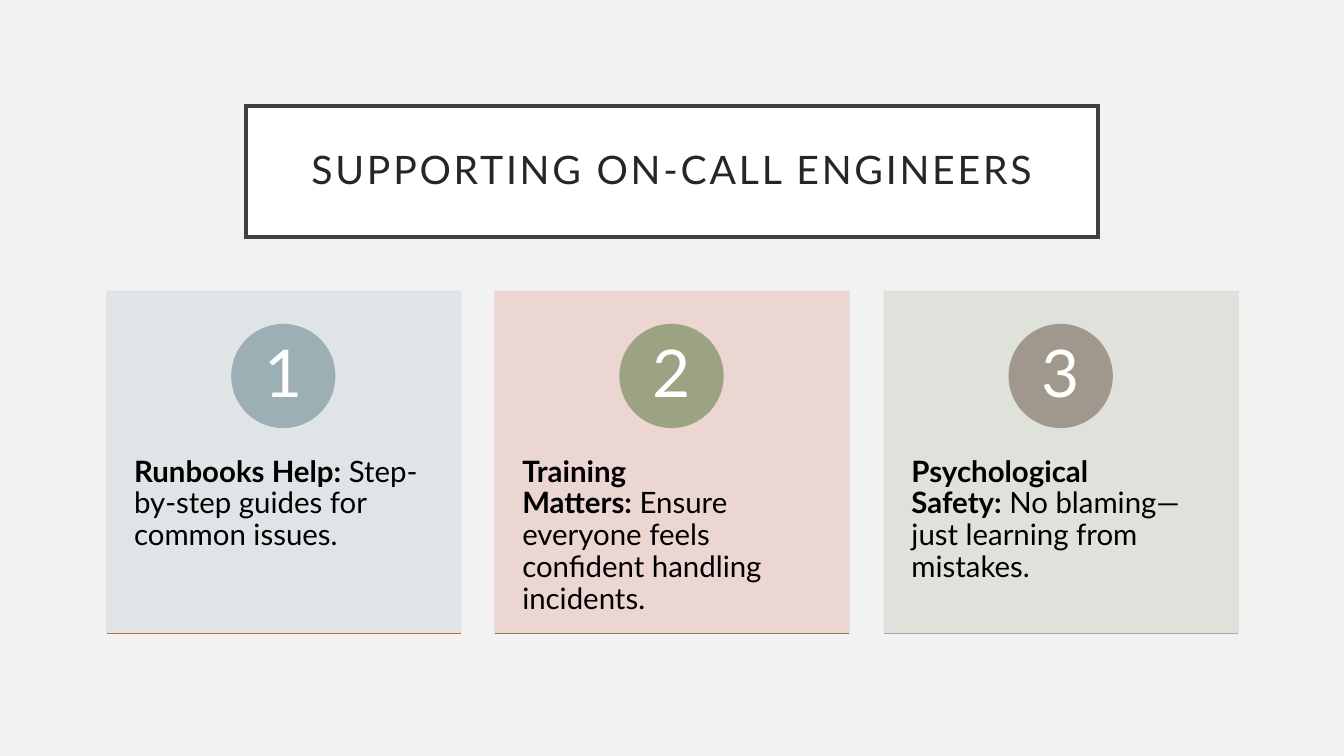
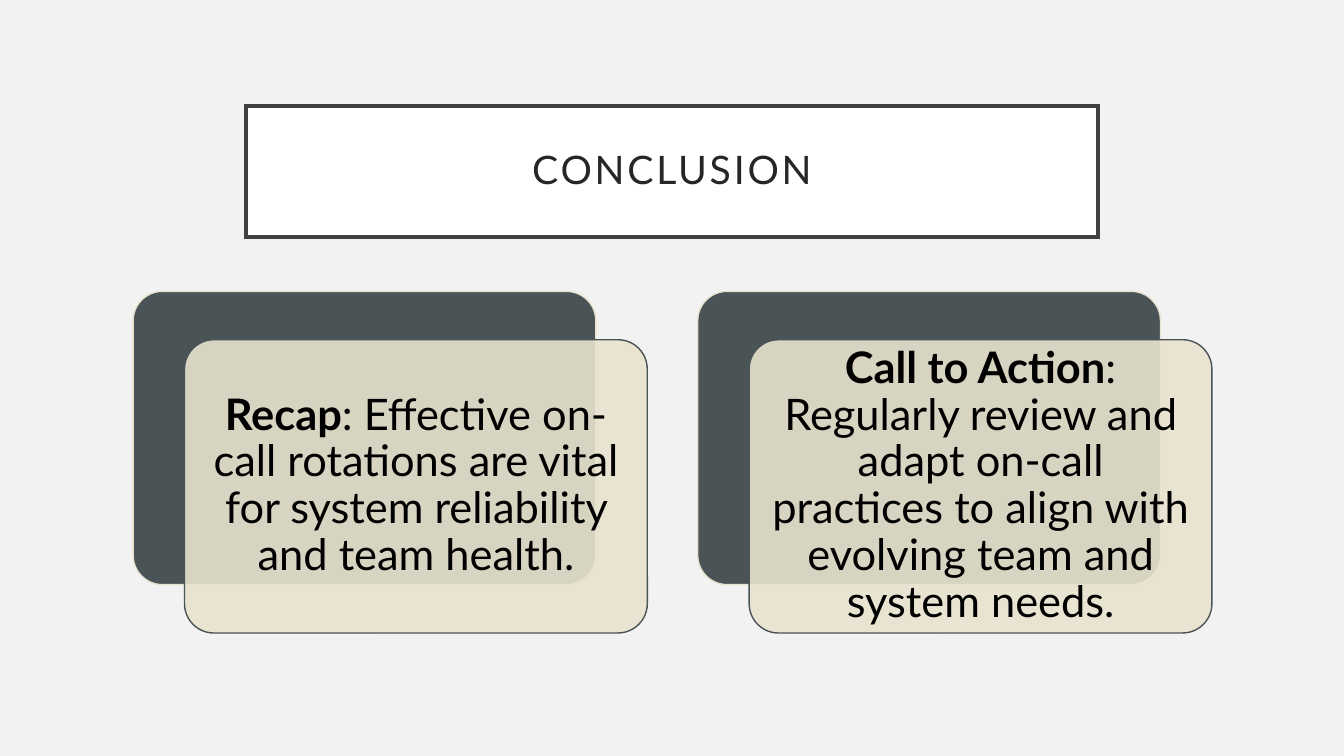
from dataclasses import dataclass

from lxml import etree
from pptx import Presentation
from pptx import util as u
from pptx.dml import color
from pptx.enum import shapes, text
from pptx.oxml import ns

EMU_PER_PX = 9144
NO_BREAK_SPACE = chr(160)


@dataclass(frozen=True)
class Theme:
    font: str = "Lato"
    background: str = "F2F2F2"
    title_fill: str = "FFFFFF"
    title_border: str = "404040"
    title_text: str = "262626"
    body_text: str = "000000"
    number_text: str = "FFFFFF"
    panel_dark: str = "4A5356"
    panel_light: str = "E8E3CE"
    title_size: int = 28
    card_size: int = 21
    number_size: int = 47
    panel_size: int = 31
    title_spacing: int = 2
    title_border_width: float = 2.5
    line_width: float = 1
    rule_width: float = 0.5
    line_spacing: float = 0.9
    opacity: int = 90


@dataclass(frozen=True)
class Box:
    left: int
    top: int
    width: int
    height: int


@dataclass(frozen=True)
class Phrase:
    wording: str
    bold: bool = False


@dataclass(frozen=True)
class Card:
    heading: str
    detail: str
    fill: str
    badge: str
    rule: str


@dataclass(frozen=True)
class Panel:
    heading: str
    detail: str


THEME = Theme()
TITLE = Box(244, 105, 845, 130)
FIRST_CARD = Box(106, 289, 351, 339)
LAST_CARD_LEFT = 877
BADGE_SIZE = 102
BADGE_DROP = 33
CARD_INSETS = (27, 164, 27, 36)
FIRST_PANEL = Box(132, 289, 459, 291)
PANEL_PITCH = 560
PANEL_SHIFT = (51, 48)

CARDS = (
    Card("Runbooks Help:", "Step-by-step guides for common issues.",
         "DEE3E5", "9BAFB5", "C96731"),
    Card("Training Matters:", "Ensure everyone feels confident handling incidents.",
         "EBD3CE", "9CA383", "87795D"),
    Card("Psychological Safety:", "No blaming—just learning from mistakes.",
         "DEE0D9", "A0988C", "9BAFB5"),
)
PANELS = (
    Panel("Recap",
          ": Effective on-call rotations are vital for system reliability and team health."),
    Panel("Call to Action",
          ": Regularly review and adapt on-call practices to align with evolving team and system needs."),
)


def px(length: int) -> u.Emu:
    return u.Emu(length * EMU_PER_PX)


def rgb(value: str) -> color.RGBColor:
    return color.RGBColor.from_string(value)


def paint(fill, value: str, opacity: int = 100) -> None:
    fill.solid()
    fill.fore_color.rgb = rgb(value)
    if opacity < 100:
        tint = fill._xPr.find(ns.qn("a:solidFill"))[0]
        etree.SubElement(tint, ns.qn("a:alpha")).set("val", str(opacity * 1000))


def style(shape, fill: str, line: str, width: float = THEME.line_width,
          fill_opacity: int = 100, line_opacity: int = 100) -> None:
    paint(shape.fill, fill, fill_opacity)
    paint(shape.line.fill, line, line_opacity)
    shape.line.width = u.Pt(width)
    outline = shape._element.spPr.find(ns.qn("a:ln"))
    etree.SubElement(outline, ns.qn("a:miter")).set("lim", "800000")
    shape.shadow.inherit = False


def write(shape, phrases: tuple[Phrase, ...], size: int, ink: str,
          insets: tuple[int, int, int, int], spacing: int = 0,
          align=text.PP_ALIGN.CENTER, anchor=text.MSO_ANCHOR.MIDDLE) -> None:
    frame = shape.text_frame
    frame.word_wrap = True
    frame.auto_size = text.MSO_AUTO_SIZE.NONE
    frame.vertical_anchor = anchor
    (frame.margin_left, frame.margin_top,
     frame.margin_right, frame.margin_bottom) = map(px, insets)
    paragraph = frame.paragraphs[0]
    paragraph.alignment = align
    paragraph.line_spacing = THEME.line_spacing
    for phrase in phrases:
        run = paragraph.add_run()
        run.text = phrase.wording
        run.font.name = THEME.font
        run.font.size = u.Pt(size)
        run.font.bold = phrase.bold
        run.font.color.rgb = rgb(ink)
        if spacing:
            run.font._element.set("spc", str(spacing * 100))


def add_block(slide, preset, box: Box):
    return slide.shapes.add_shape(
        preset, px(box.left), px(box.top), px(box.width), px(box.height))


def add_rule(slide, box: Box, ink: str) -> None:
    bottom = px(box.top + box.height)
    rule = slide.shapes.add_connector(
        shapes.MSO_CONNECTOR.STRAIGHT,
        px(box.left), bottom, px(box.left + box.width), bottom)
    rule.line.color.rgb = rgb(ink)
    rule.line.width = u.Pt(THEME.rule_width)
    etree.SubElement(rule._element.spPr, ns.qn("a:effectLst"))


def add_titled_slide(deck, heading: str):
    slide = deck.slides.add_slide(deck.slide_layouts.get_by_name("Title Only"))
    title = slide.shapes.title
    title.left, title.top = px(TITLE.left), px(TITLE.top)
    title.width, title.height = px(TITLE.width), px(TITLE.height)
    style(title, THEME.title_fill, THEME.title_border, THEME.title_border_width)
    write(title, (Phrase(heading),), THEME.title_size, THEME.title_text,
          (20, 20, 20, 20), THEME.title_spacing)
    return slide


def add_card(slide, number: int, card: Card, box: Box) -> None:
    body = add_block(slide, shapes.MSO_SHAPE.RECTANGLE, box)
    style(body, card.fill, card.fill,
          fill_opacity=THEME.opacity, line_opacity=THEME.opacity)
    write(body, (Phrase(card.heading, True), Phrase(NO_BREAK_SPACE + card.detail)),
          THEME.card_size, THEME.body_text, CARD_INSETS,
          align=text.PP_ALIGN.LEFT, anchor=text.MSO_ANCHOR.TOP)
    badge = add_block(slide, shapes.MSO_SHAPE.OVAL, Box(
        box.left + (box.width - BADGE_SIZE) // 2, box.top + BADGE_DROP,
        BADGE_SIZE, BADGE_SIZE))
    style(badge, card.badge, card.badge)
    write(badge, (Phrase(str(number)),), THEME.number_size, THEME.number_text,
          (8, 1, 8, 1))
    add_rule(slide, box, card.rule)


def add_panel(slide, panel: Panel, box: Box) -> None:
    right, down = PANEL_SHIFT
    back = add_block(slide, shapes.MSO_SHAPE.ROUNDED_RECTANGLE, box)
    style(back, THEME.panel_dark, THEME.panel_light)
    front = add_block(slide, shapes.MSO_SHAPE.ROUNDED_RECTANGLE, Box(
        box.left + right, box.top + down, box.width, box.height))
    style(front, THEME.panel_light, THEME.panel_dark, fill_opacity=THEME.opacity)
    for layer in (back, front):
        layer.adjustments[0] = 0.1
    write(front, (Phrase(panel.heading, True), Phrase(panel.detail)),
          THEME.panel_size, THEME.body_text, (13, 13, 13, 13))


def main() -> None:
    deck = Presentation()
    deck.slide_width, deck.slide_height = px(1333), px(750)
    paint(deck.slide_master.background.fill, THEME.background)

    support = add_titled_slide(deck, "SUPPORTING ON-CALL ENGINEERS")
    card_span = LAST_CARD_LEFT - FIRST_CARD.left
    for index, card in enumerate(CARDS):
        left = FIRST_CARD.left + index * card_span // (len(CARDS) - 1)
        add_card(support, index + 1, card,
                 Box(left, FIRST_CARD.top, FIRST_CARD.width, FIRST_CARD.height))

    conclusion = add_titled_slide(deck, "CONCLUSION")
    for index, panel in enumerate(PANELS):
        left = FIRST_PANEL.left + index * PANEL_PITCH
        add_panel(conclusion, panel,
                  Box(left, FIRST_PANEL.top, FIRST_PANEL.width, FIRST_PANEL.height))

    deck.save("out.pptx")


if __name__ == "__main__":
    main()
